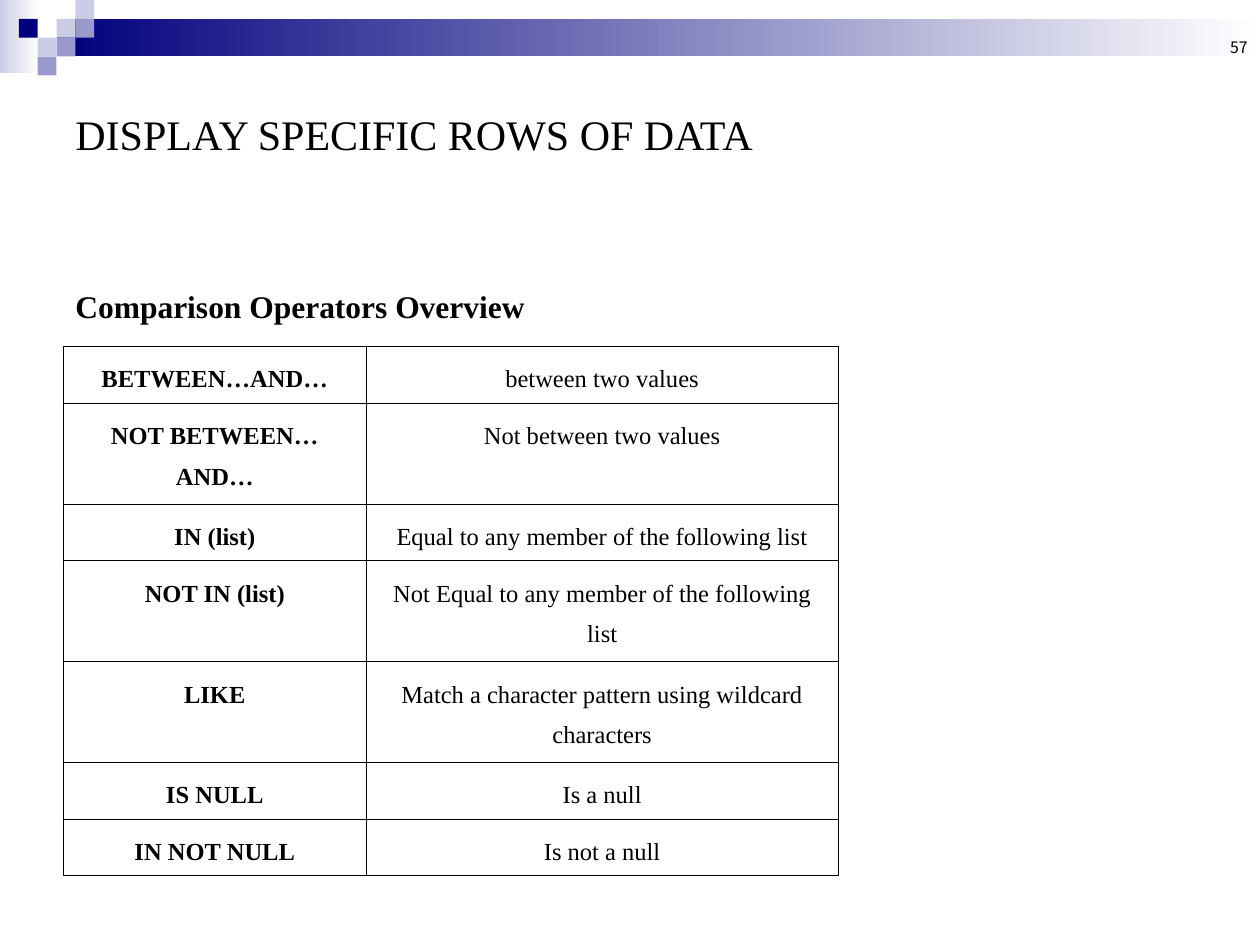
from lxml import etree
from pptx import Presentation
from pptx.dml.color import RGBColor
from pptx.enum.shapes import MSO_SHAPE
from pptx.enum.text import MSO_ANCHOR, PP_ALIGN
from pptx.oxml.ns import qn
from pptx.util import Cm, Pt

RECT = MSO_SHAPE.RECTANGLE
TOP, MIDDLE, BOTTOM = MSO_ANCHOR.TOP, MSO_ANCHOR.MIDDLE, MSO_ANCHOR.BOTTOM
LEFT, CENTER, RIGHT = PP_ALIGN.LEFT, PP_ALIGN.CENTER, PP_ALIGN.RIGHT

BLACK = RGBColor(0x00, 0x00, 0x00)
WHITE = RGBColor(0xFF, 0xFF, 0xFF)
NAVY = RGBColor(0x00, 0x00, 0x7D)
PALE = RGBColor(0xCC, 0xCC, 0xE6)
LILAC = RGBColor(0x99, 0x99, 0xCC)

SERIF = "Times New Roman"
SANS = "Noto Sans CJK KR"

UNIT = 0.38
SQUARES = [
    (3, 1, PALE), (4, 0, PALE), (4, 1, LILAC), (2, 2, PALE),
    (1, 1, NAVY), (3, 2, LILAC), (2, 3, LILAC),
]

COLS = [6.12, 9.5]
LOW, TALL = 1.09, 1.97
ROWS = [
    (LOW, "BETWEEN…AND…", "between two values"),
    (TALL, "NOT BETWEEN… AND…", "Not between two values"),
    (LOW, "IN (list)", "Equal to any member of the following list"),
    (TALL, "NOT IN (list)", "Not Equal to any member of the following list"),
    (TALL, "LIKE", "Match a character pattern using wildcard characters"),
    (LOW, "IS NULL", "Is a null"),
    (LOW, "IN NOT NULL", "Is not a null"),
]


def write(frame, text, size=14, font=SERIF, bold=False, align=LEFT, spacing=None):
    para = frame.paragraphs[0]
    para.alignment = align
    para.line_spacing = spacing
    run = para.add_run()
    run.text = text
    run.font.name = font
    run.font.size = Pt(size)
    run.font.bold = bold
    run.font.color.rgb = BLACK


def add_text(slide, box, text, anchor=TOP, **style):
    frame = slide.shapes.add_textbox(*map(Cm, box)).text_frame
    frame.word_wrap = True
    frame.vertical_anchor = anchor
    write(frame, text, **style)


def add_rect(slide, box, color, fade=False):
    shape = slide.shapes.add_shape(RECT, *map(Cm, box))
    shape.shadow.inherit = False
    shape.line.fill.background()
    fill = shape.fill
    if fade:
        fill.gradient()
        fill.gradient_angle = 0
        for stop, tint in zip(fill.gradient_stops, (color, WHITE)):
            stop.color.rgb = tint
    else:
        fill.solid()
        fill.fore_color.rgb = color


def add_border(cell):
    props = cell._tc.get_or_add_tcPr()
    for side in ("a:lnL", "a:lnR", "a:lnT", "a:lnB"):
        line = etree.SubElement(props, qn(side), w=str(Pt(0.45)))
        fill = etree.SubElement(line, qn("a:solidFill"))
        etree.SubElement(fill, qn("a:srgbClr"), val=str(BLACK))


def add_grid(slide, left, top):
    width, height = sum(COLS), sum(row[0] for row in ROWS)
    box = map(Cm, (left, top, width, height))
    table = slide.shapes.add_table(len(ROWS), len(COLS), *box).table
    table.first_row = False
    table.horz_banding = False
    for column, width in zip(table.columns, COLS):
        column.width = Cm(width)
    for row, (height, *texts) in zip(table.rows, ROWS):
        row.height = Cm(height)
        for index, (cell, text) in enumerate(zip(row.cells, texts)):
            cell.margin_left = cell.margin_right = Cm(0.18)
            add_border(cell)
            cell.fill.background()
            write(cell.text_frame, text, bold=index == 0, align=CENTER, spacing=1.5)


def add_banner(slide):
    add_rect(slide, (0, 0, 0.79, 1.47), PALE, fade=True)
    add_rect(slide, (3 * UNIT, UNIT, 25.4 - 3 * UNIT, 2 * UNIT), NAVY, fade=True)
    for col, row, color in SQUARES:
        add_rect(slide, (col * UNIT, row * UNIT, UNIT, UNIT), color)


def main():
    deck = Presentation()
    deck.slide_width, deck.slide_height = Cm(25.4), Cm(19.05)
    slide = deck.slides.add_slide(deck.slide_layouts[6])
    add_banner(slide)
    add_text(slide, (19.48, 0, 5.92, 1.27), "57", anchor=BOTTOM,
             size=9, font=SANS, align=RIGHT)
    add_text(slide, (1.27, 1.27, 22.86, 2.84), "DISPLAY SPECIFIC ROWS OF DATA",
             anchor=MIDDLE, size=24)
    add_text(slide, (1.27, 5.66, 17, 1.04), "Comparison Operators Overview",
             size=18, bold=True)
    add_grid(slide, 1.27, 6.98)
    deck.save("out.pptx")


if __name__ == "__main__":
    main()
